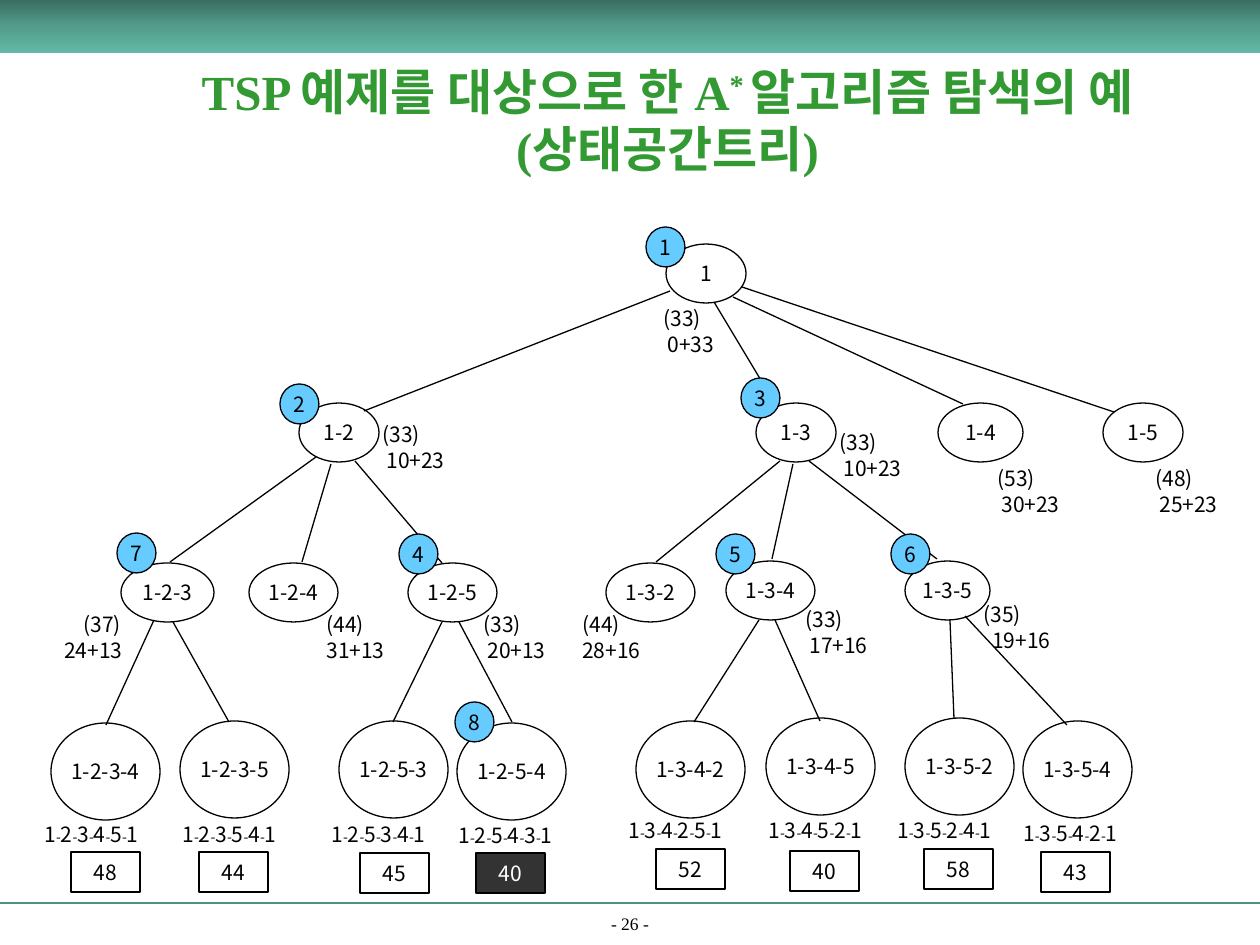
"""Build a slide with the state-space tree of an A* search on a TSP example."""
from copy import deepcopy

from lxml import etree
from pptx import Presentation
from pptx import util as u
from pptx.dml.color import RGBColor
from pptx.enum import shapes, text
from pptx.oxml.ns import qn

BLACK = RGBColor(0x00, 0x00, 0x00)
WHITE = RGBColor(0xFF, 0xFF, 0xFF)
GREEN = RGBColor(0x33, 0x99, 0x33)
TEAL = RGBColor(0x4C, 0x92, 0x82)
SKY = RGBColor(0x66, 0xCC, 0xFF)
CHARCOAL = RGBColor(0x33, 0x33, 0x33)
BAND = [(0, RGBColor(0x3A, 0x6D, 0x62)), (0.5, RGBColor(0x53, 0x9C, 0x8B)),
        (1, RGBColor(0x62, 0xB9, 0xA5))]

NODES = [
    ("1", 666, 244, 80), ("1-2", 299, 403, 80), ("1-3", 756, 403, 80),
    ("1-4", 938, 403, 85), ("1-5", 1103, 403, 80),
    ("1-2-3", 121, 563, 93), ("1-2-4", 249, 563, 89), ("1-2-5", 408, 563, 89),
    ("1-3-2", 606, 563, 89), ("1-3-4", 726, 561, 89), ("1-3-5", 905, 561, 85),
]
BOUNDS = [
    ("(33)", "0+33", 651, 299, 0, 4), ("(33)", "10+23", 370, 415, 0, 4),
    ("(33)", "10+23", 827, 423, 0, 4), ("(53)", "30+23", 985, 459, 0, 4),
    ("(48)", "25+23", 1143, 459, 0, 4), ("(37)", "24+13", 52, 605, 19, 0),
    ("(44)", "31+13", 314, 605, 0, 0), ("(33)", "20+13", 471, 605, 0, 4),
    ("(44)", "28+16", 570, 605, 0, 0), ("(33)", "17+16", 793, 600, 0, 4),
    ("(35)", "19+16", 971, 595, 0, 9),
]
LEAVES = [
    ("1-2-3-4", (51, 723), "1-2-3-4-5-1", (32, 815), "48", (71, 852)),
    ("1-2-3-5", (180, 721), "1-2-3-5-4-1", (170, 815), "44", (199, 852)),
    ("1-2-5-3", (339, 721), "1-2-5-3-4-1", (319, 815), "45", (360, 853)),
    ("1-2-5-4", (457, 723), "1-2-5-4-3-1", (446, 816), "40", (476, 853)),
    ("1-3-4-2", (636, 721), "1-3-4-2-5-1", (616, 811), "52", (656, 849)),
    ("1-3-4-5", (766, 718), "1-3-4-5-2-1", (756, 811), "40", (790, 851)),
    ("1-3-5-2", (905, 718), "1-3-5-2-4-1", (885, 811), "58", (924, 849)),
    ("1-3-5-4", (1023, 721), "1-3-5-4-2-1", (1011, 814), "43", (1041, 852)),
]
BEST = "1-2-5-4"
EDGES = [
    (670, 291, 364, 411), (714, 302, 777, 407), (733, 297, 963, 404),
    (742, 287, 1114, 412), (331, 464, 302, 562), (316, 457, 170, 562),
    (355, 461, 442, 563), (793, 464, 772, 559), (780, 461, 656, 562),
    (809, 461, 937, 559), (154, 620, 106, 725), (173, 622, 229, 722),
    (442, 622, 393, 722), (459, 622, 512, 722), (759, 620, 694, 722),
    (775, 620, 820, 721), (950, 620, 954, 718), (965, 616, 1067, 725),
]
VISITS = [(646, 227), (280, 384), (741, 378), (399, 534),
          (716, 534), (891, 534), (117, 533), (455, 702)]


class TreeSlide:
    """Hold the style and the slide, and draw each kind of element."""

    SCALE = 914400 / 126
    SANS = "Noto Sans CJK KR"
    SERIF = "Times New Roman"

    def __init__(self, deck):
        self.slide = deck.slides.add_slide(deck.slide_layouts[5])
        self.shapes = self.slide.shapes

    def px(self, *lengths):
        return [u.Emu(round(length * self.SCALE)) for length in lengths]

    def run(self, paragraph, words, size=12, color=BLACK, font=SANS, bold=False):
        run = paragraph.add_run()
        run.text = words
        run.font.size = u.Pt(size)
        run.font.name = font
        run.font.bold = bold
        run.font.color.rgb = color
        east = etree.SubElement(run._r.get_or_add_rPr(), qn("a:ea"))
        east.set("typeface", self.SANS)
        return run

    def title(self, lines, box):
        heading = self.shapes.title
        heading.left, heading.top, heading.width, heading.height = self.px(*box)
        frame = heading.text_frame
        frame.auto_size = text.MSO_AUTO_SIZE.NONE
        frame.vertical_anchor = text.MSO_ANCHOR.MIDDLE
        frame.margin_top = self.px(16)[0]
        paragraph = frame.paragraphs[0]
        paragraph.alignment = text.PP_ALIGN.CENTER
        paragraph.line_spacing = u.Pt(33)
        for number, line in enumerate(lines):
            if number:
                paragraph.add_line_break()
            for words, raised in line:
                run = self.run(paragraph, words, 28, GREEN, self.SERIF, True)
                if raised:
                    run._r.rPr.set("baseline", "30000")

    def shape(self, kind, box, words="", fill=None, color=BLACK):
        shape = self.shapes.add_shape(kind, *self.px(*box))
        shape.shadow.inherit = False
        if fill is None:
            shape.fill.background()
        else:
            shape.fill.solid()
            shape.fill.fore_color.rgb = fill
        shape.line.color.rgb = BLACK
        shape.line.width = u.Pt(0.75)
        frame = shape.text_frame
        frame.word_wrap = False
        frame.vertical_anchor = text.MSO_ANCHOR.MIDDLE
        if words:
            frame.paragraphs[0].alignment = text.PP_ALIGN.CENTER
            self.run(frame.paragraphs[0], words, color=color)
        return shape

    def node(self, box, words, fill=None):
        self.shape(shapes.MSO_SHAPE.OVAL, box, words, fill)

    def cost(self, box, words, fill, color):
        self.shape(shapes.MSO_SHAPE.RECTANGLE, box, words, fill, color)

    def band(self, box):
        band = self.shape(shapes.MSO_SHAPE.RECTANGLE, box)
        band.line.fill.background()
        band.fill.gradient()
        band.fill.gradient_angle = 270
        stops = band._element.spPr.find(".//" + qn("a:gsLst"))
        stops.insert(1, deepcopy(stops[0]))
        for stop, (position, color) in zip(band.fill.gradient_stops, BAND):
            stop.position = position
            stop.color.rgb = color

    def edge(self, ends, color=BLACK, width=0.75):
        edge = self.shapes.add_connector(shapes.MSO_CONNECTOR.STRAIGHT, *self.px(*ends))
        edge.line.color.rgb = color
        edge.line.width = u.Pt(width)
        etree.SubElement(edge._element.spPr, qn("a:effectLst"))

    def frame(self, box):
        frame = self.shapes.add_textbox(*self.px(*box)).text_frame
        frame.word_wrap = True
        return frame

    def bound(self, x, y, lines, indents):
        frame = self.frame((x, y, 94, 63))
        for number, (words, indent) in enumerate(zip(lines, indents)):
            paragraph = frame.add_paragraph() if number else frame.paragraphs[0]
            paragraph.line_spacing = u.Pt(14.6)
            paragraph._p.get_or_add_pPr().set("marL", str(self.px(indent)[0]))
            self.run(paragraph, words)

    def route(self, x, y, cities):
        paragraph = self.frame((x, y, 141, 38)).paragraphs[0]
        paragraph.line_spacing = u.Pt(14.6)
        for mark in cities:
            self.run(paragraph, mark, 8 if mark == "-" else 12)

    def page_number(self, box, words):
        frame = self.frame(box)
        frame.vertical_anchor = text.MSO_ANCHOR.BOTTOM
        frame.paragraphs[0].alignment = text.PP_ALIGN.CENTER
        self.run(frame.paragraphs[0], words, 10, font=self.SERIF)


def main():
    deck = Presentation()
    deck.slide_width, deck.slide_height = u.Inches(10), u.Inches(7.5)
    tree = TreeSlide(deck)
    tree.edge((0, 903, 1260, 903), TEAL, 1.5)
    tree.page_number((0, 912, 1260, 28), "- 26 -")
    tree.band((0, 0, 1260, 53))
    tree.title([[("TSP 예제를 대상으로 한 A", False), ("* ", True), ("알고리즘 탐색의 예", False)],
                [("(상태공간트리)", False)]], (132, 60, 1071, 110))
    for name, x, y, width in NODES:
        tree.node((x, y, width, 59), name)
    for total, parts, x, y, *indents in BOUNDS:
        tree.bound(x, y, (total, parts), indents)
    for name, place, cities, route_place, cost, cost_place in LEAVES:
        tree.node((*place, 109, 97), name)
        tree.route(*route_place, cities)
        fill, color = (CHARCOAL, WHITE) if name == BEST else (WHITE, BLACK)
        tree.cost((*cost_place, 69, 40), cost, fill, color)
    for ends in EDGES:
        tree.edge(ends)
    for order, place in enumerate(VISITS, 1):
        tree.node((*place, 39, 40), str(order), SKY)
    deck.save("out.pptx")


if __name__ == "__main__":
    main()
